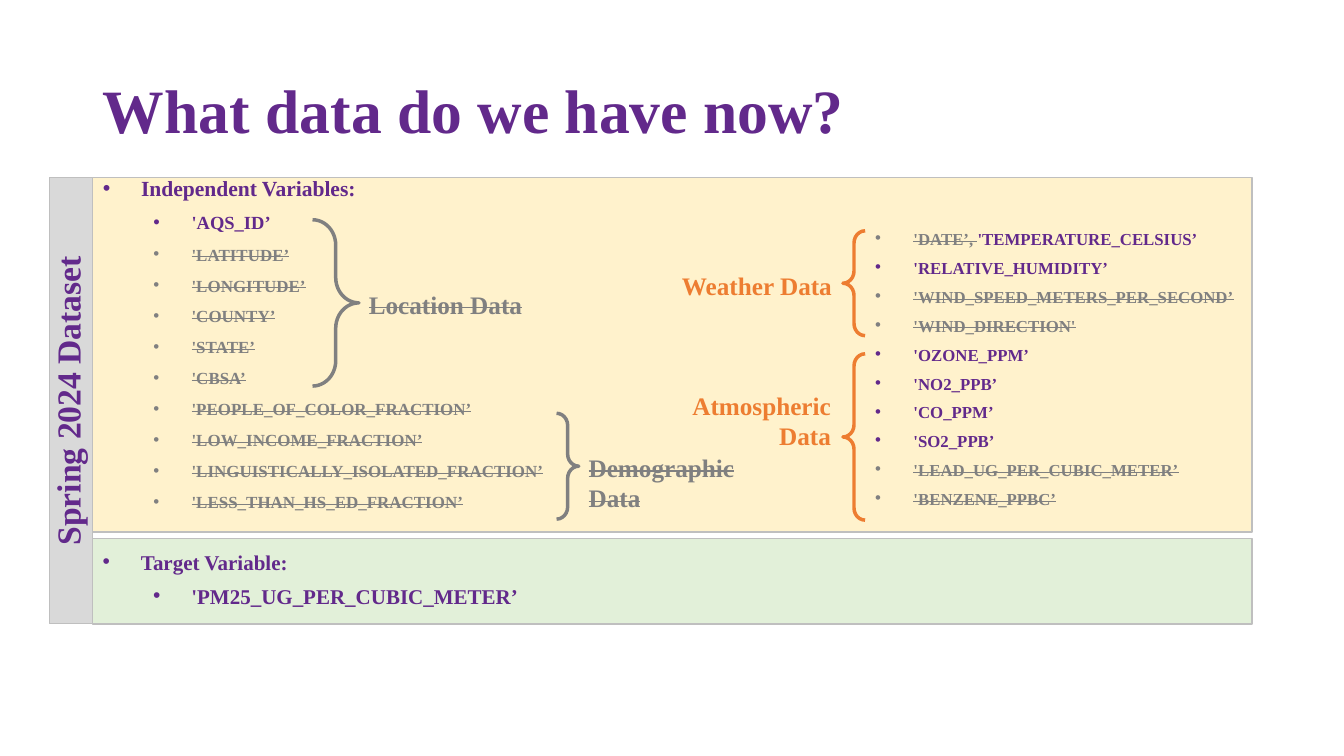
"""Build the slide on the variables kept and dropped in the Spring 2024 dataset."""
from lxml.etree import SubElement
from pptx import Presentation
from pptx.dml.color import RGBColor
from pptx.enum.shapes import MSO_SHAPE
from pptx.enum.text import MSO_ANCHOR, MSO_AUTO_SIZE, PP_ALIGN
from pptx.oxml.ns import qn
from pptx.util import Inches, Pt

FONT = "Times New Roman"
PURPLE, GRAY, ORANGE, EDGE = "62298B", "808080", "ED7D31", "BFBFBF"
TITLE = "What data do we have now?"
SIDE = "Spring 2024 Dataset"

# Each row: level, size, runs; each run: text, kept or dropped
LEFT = [(0, 15.4, [("Independent Variables:", True)]),
        (1, 13.2, [("'AQS_ID’", True)])]
LEFT += [(1, 12.1, [(name, False)]) for name in (
    "'LATITUDE’", "'LONGITUDE’", "'COUNTY’", "'STATE’", "'CBSA’",
    "'PEOPLE_OF_COLOR_FRACTION’", "'LOW_INCOME_FRACTION’",
    "'LINGUISTICALLY_ISOLATED_FRACTION’", "'LESS_THAN_HS_ED_FRACTION’")]
RIGHT = [(1, 12, [("'DATE’, ", False), ("'TEMPERATURE_CELSIUS’", True)])]
RIGHT += [(1, 12, [(name, kept)]) for name, kept in (
    ("'RELATIVE_HUMIDITY’", True), ("'WIND_SPEED_METERS_PER_SECOND’", False),
    ("'WIND_DIRECTION'", False), ("'OZONE_PPM’", True), ("'NO2_PPB’", True),
    ("'CO_PPM’", True), ("'SO2_PPB’", True),
    ("'LEAD_UG_PER_CUBIC_METER’", False), ("'BENZENE_PPBC’", False))]
TARGET = [(0, 15, [("Target Variable:", True)]),
          (1, 15, [("'PM25_UG_PER_CUBIC_METER’", True)])]

PANELS = [((0.92, 5.34, 11.5, 0.85), "E2F0D9"),
          ((0.92, 1.76, 11.5, 3.52), "FFF2CC")]
# Each group: label, label box, brace box, kept or dropped
GROUPS = [
    ("Location Data", (3.56, 2.82, 1.74, 0.4), (3.1, 2.18, 0.46, 1.65), False),
    ("Demographic\nData", (5.74, 4.44, 1.66, 0.71), (5.52, 4.1, 0.22, 1.05), False),
    ("Weather Data", (6.64, 2.63, 1.71, 0.4), (8.36, 2.29, 0.22, 1.04), True),
    ("Atmospheric\nData", (6.75, 3.82, 1.59, 0.71), (8.36, 3.51, 0.22, 1.65), True)]


def color(code):
    return RGBColor.from_string(code)


def style(run, size, code, struck=False):
    font = run.font
    font.name, font.size, font.bold = FONT, Pt(size), True
    font.color.rgb = color(code)
    if struck:
        run._r.get_or_add_rPr().set("strike", "sngStrike")


def place(shape, box):
    shape.left, shape.top, shape.width, shape.height = map(Inches, box)


def draw(shapes, kind, box, edge, width, fill=None):
    shape = shapes.add_shape(kind, *map(Inches, box))
    shape.shadow.inherit = False
    shape.line.color.rgb = color(edge)
    shape.line.width = Pt(width)
    if fill:
        shape.fill.solid()
        shape.fill.fore_color.rgb = color(fill)
    else:
        shape.fill.background()
    return shape


def fill_list(shape, rows, spacing):
    frame = shape.text_frame
    frame.word_wrap = True
    frame.auto_size = MSO_AUTO_SIZE.NONE
    frame.vertical_anchor = MSO_ANCHOR.TOP
    for i, (level, size, parts) in enumerate(rows):
        para = frame.add_paragraph() if i else frame.paragraphs[0]
        para.level = level
        para.line_spacing = spacing
        para.space_before = Pt(12 if i else 0)
        props = para._p.get_or_add_pPr()
        props.set("marL", str(Inches(0.38 + level * 0.5)))
        props.set("indent", str(Inches(-0.38)))
        SubElement(props, qn("a:buFont")).set("typeface", "Arial")
        SubElement(props, qn("a:buChar")).set("char", "•")
        for text, kept in parts:
            run = para.add_run()
            run.text = text
            style(run, size, PURPLE if kept else GRAY, not kept)


def add_group(shapes, label, box, brace_box, kept):
    code = ORANGE if kept else GRAY
    brace = draw(shapes, MSO_SHAPE.RIGHT_BRACE, brace_box, code, 2.5)
    brace.adjustments[0] = 0.547
    brace.rotation = 180 if kept else 0
    frame = shapes.add_textbox(*map(Inches, box)).text_frame
    frame.word_wrap = False
    frame.auto_size = MSO_AUTO_SIZE.SHAPE_TO_FIT_TEXT
    frame.text = label
    for para in frame.paragraphs:
        para.alignment = PP_ALIGN.RIGHT if kept else PP_ALIGN.LEFT
        style(para.runs[0], 18, code, not kept)


def set_line(shape, text, size, spacing, align):
    frame = shape.text_frame
    frame.text = text
    frame.word_wrap = True
    frame.auto_size = MSO_AUTO_SIZE.NONE
    frame.vertical_anchor = MSO_ANCHOR.MIDDLE
    para = frame.paragraphs[0]
    para.alignment, para.line_spacing = align, spacing
    style(para.runs[0], size, PURPLE)


def main():
    deck = Presentation()
    deck.slide_width, deck.slide_height = Inches(13.33), Inches(7.5)
    slide = deck.slides.add_slide(deck.slide_layouts[3])
    shapes = slide.shapes
    title, left, right = slide.placeholders

    place(title, (0.92, 0.4, 11.5, 1.45))
    set_line(title, TITLE, 44, 0.9, PP_ALIGN.LEFT)
    for box, fill in PANELS:
        draw(shapes, MSO_SHAPE.RECTANGLE, box, EDGE, 1, fill)

    target = shapes.add_textbox(*map(Inches, (0.92, 5.47, 6.67, 0.63)))
    fill_list(target, TARGET, 0.7)
    for body, box, rows, spacing in (
            (left, (0.92, 1.76, 4.9, 3.52), LEFT, 0.7),
            (right, (8.08, 2.29, 4.31, 2.99), RIGHT, 0.6)):
        place(body, box)
        fill_list(body, rows, spacing)
        shapes._spTree.append(body._element)

    for group in GROUPS:
        add_group(shapes, *group)
    side = draw(shapes, MSO_SHAPE.RECTANGLE, (-1.51, 3.76, 4.43, 0.43),
                EDGE, 0.75, "D9D9D9")
    side.rotation = 270
    set_line(side, SIDE, 24, 0.8, PP_ALIGN.CENTER)
    deck.save("out.pptx")


if __name__ == "__main__":
    main()
